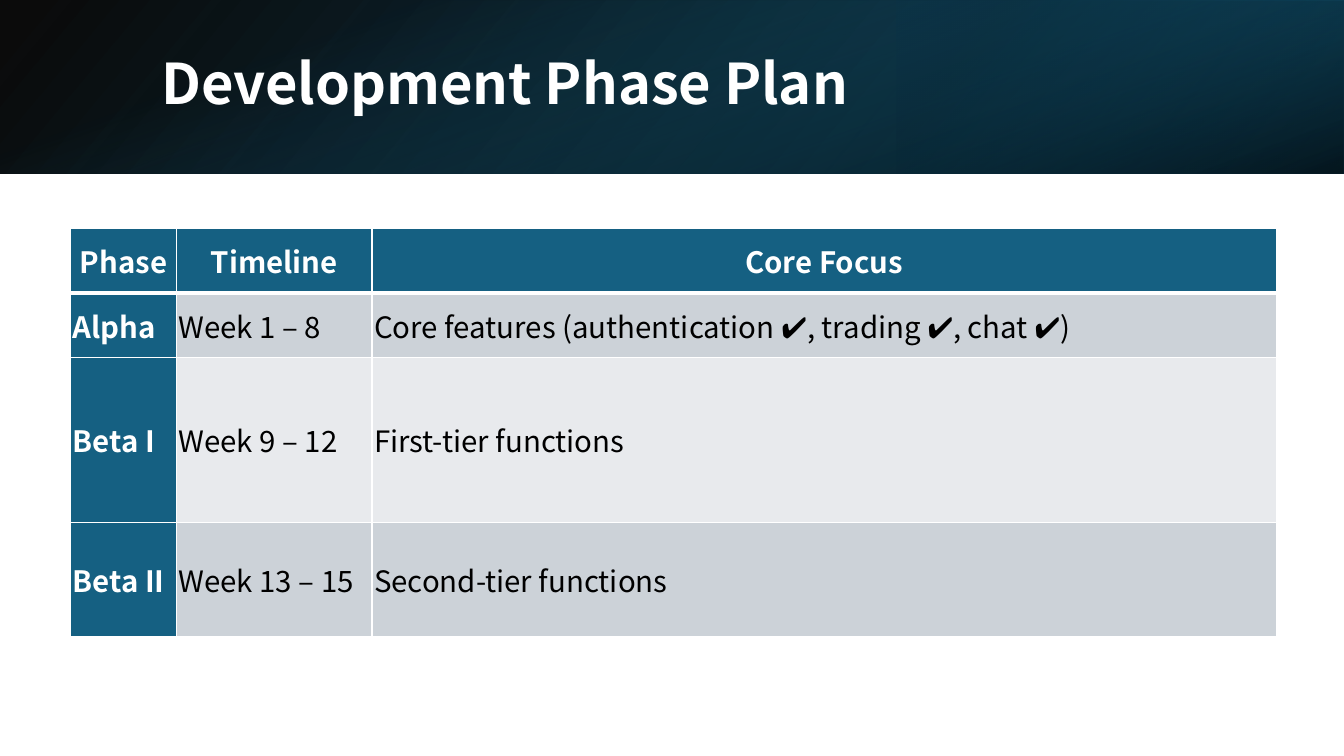
from dataclasses import dataclass

from lxml import etree
from pptx import Presentation
from pptx.dml.color import RGBColor
from pptx.enum.shapes import MSO_SHAPE
from pptx.enum.text import MSO_ANCHOR, PP_ALIGN
from pptx.oxml import parse_xml
from pptx.oxml.ns import nsdecls, qn
from pptx.util import Inches, Pt


@dataclass(frozen=True)
class Theme:
    font: str = "Noto Sans CJK SC"
    title_size: int = 40
    table_size: int = 21
    white: str = "FFFFFF"
    black: str = "000000"
    teal: str = "156082"
    deep_teal: str = "104862"
    night: str = "0B3041"
    bands: tuple = ("CCD2D8", "E8EAED")


theme = Theme()


def style_text(para, size, color, bold):
    for span in para.runs:
        span.font.name = theme.font
        span.font.size = Pt(size)
        span.font.bold = bold
        span.font.color.rgb = RGBColor.from_string(color)


def add_border(cell, side, width):
    """Draw one white edge; side is L, R, T or B. Call before filling the cell."""
    line = etree.SubElement(cell._tc.get_or_add_tcPr(), qn(f"a:ln{side}"), w=str(Pt(width)))
    fill = etree.SubElement(line, qn("a:solidFill"))
    etree.SubElement(fill, qn("a:srgbClr"), val=theme.white)


deck = Presentation()
deck.slide_width, deck.slide_height = Inches(13.33), Inches(7.5)
page = deck.slides.add_slide(deck.slide_layouts[6])

# Header band: left, top, width, height, rotation, flipped, angle, stops (position, colour, opacity)
header_layers = [
    (0, 0, 13.33, 1.72, 0, True, 140, [(0, theme.black, 96), (100, theme.deep_teal, 100)]),
    (8.89, 0, 4.44, 1.72, 180, True, 320, [(19, theme.night, 68), (100, theme.teal, 79)]),
    (5.8, -5.8, 1.72, 13.33, 90, False, 340, [(23, theme.teal, 0), (99, theme.black, 74)]),
]
for left, top, width, height, rotation, flipped, angle, stops in header_layers:
    box = page.shapes.add_shape(
        MSO_SHAPE.RECTANGLE, Inches(left), Inches(top), Inches(width), Inches(height))
    box.rotation = rotation
    box.shadow.inherit = False
    box.line.fill.background()
    properties = box._element.spPr
    if flipped:
        properties.find(qn("a:xfrm")).set("flipH", "1")
    stop_xml = "".join(
        f'<a:gs pos="{position * 1000}"><a:srgbClr val="{color}">'
        f'<a:alpha val="{opacity * 1000}"/></a:srgbClr></a:gs>'
        for position, color, opacity in stops)
    gradient = parse_xml(
        f'<a:gradFill {nsdecls("a")} rotWithShape="1"><a:gsLst>{stop_xml}</a:gsLst>'
        f'<a:lin ang="{angle * 60000}" scaled="0"/></a:gradFill>')
    properties.find(qn("a:prstGeom")).addnext(gradient)

title = page.shapes.add_textbox(Inches(1.5), Inches(0.38), Inches(10.98), Inches(0.96))
title_frame = title.text_frame
title_frame.word_wrap = True
title_frame.vertical_anchor = MSO_ANCHOR.MIDDLE
title_frame.text = "Development Phase Plan"
title_frame.paragraphs[0].line_spacing = 0.9
style_text(title_frame.paragraphs[0], theme.title_size, theme.white, True)

phases = [
    ("Phase", "Timeline", "Core Focus"),
    ("Alpha", "Week 1 – 8", "Core features (authentication ✔, trading ✔, chat ✔)"),
    ("Beta I", "Week 9 – 12", "First-tier functions"),
    ("Beta II", "Week 13 – 15", "Second-tier functions"),
]
column_widths = [1.05, 1.94, 8.97]
row_heights = [0.64, 0.64, 1.63, 1.14]
table = page.shapes.add_table(
    len(phases), len(column_widths), Inches(0.7), Inches(2.27),
    Inches(sum(column_widths)), Inches(sum(row_heights))).table
for column, width in zip(table.columns, column_widths):
    column.width = Inches(width)
for row, height in zip(table.rows, row_heights):
    row.height = Inches(height)

for row_index, phase in enumerate(phases):
    for column_index, text in enumerate(phase):
        cell = table.cell(row_index, column_index)
        is_header = row_index == 0
        is_label = is_header or column_index == 0
        cell.margin_left = cell.margin_right = Inches(0.02)
        cell.margin_top = cell.margin_bottom = Inches(0.02)
        cell.vertical_anchor = MSO_ANCHOR.MIDDLE
        for side in "LRTB":
            under_header = (row_index, side) in ((0, "B"), (1, "T"))
            add_border(cell, side, 3 if under_header else 1)
        cell.fill.solid()
        cell.fill.fore_color.rgb = RGBColor.from_string(
            theme.teal if is_label else theme.bands[(row_index - 1) % 2])
        cell.text_frame.text = text
        para = cell.text_frame.paragraphs[0]
        para.alignment = PP_ALIGN.CENTER if is_header else PP_ALIGN.LEFT
        style_text(para, theme.table_size, theme.white if is_label else theme.black, is_label)

deck.save("out.pptx")
